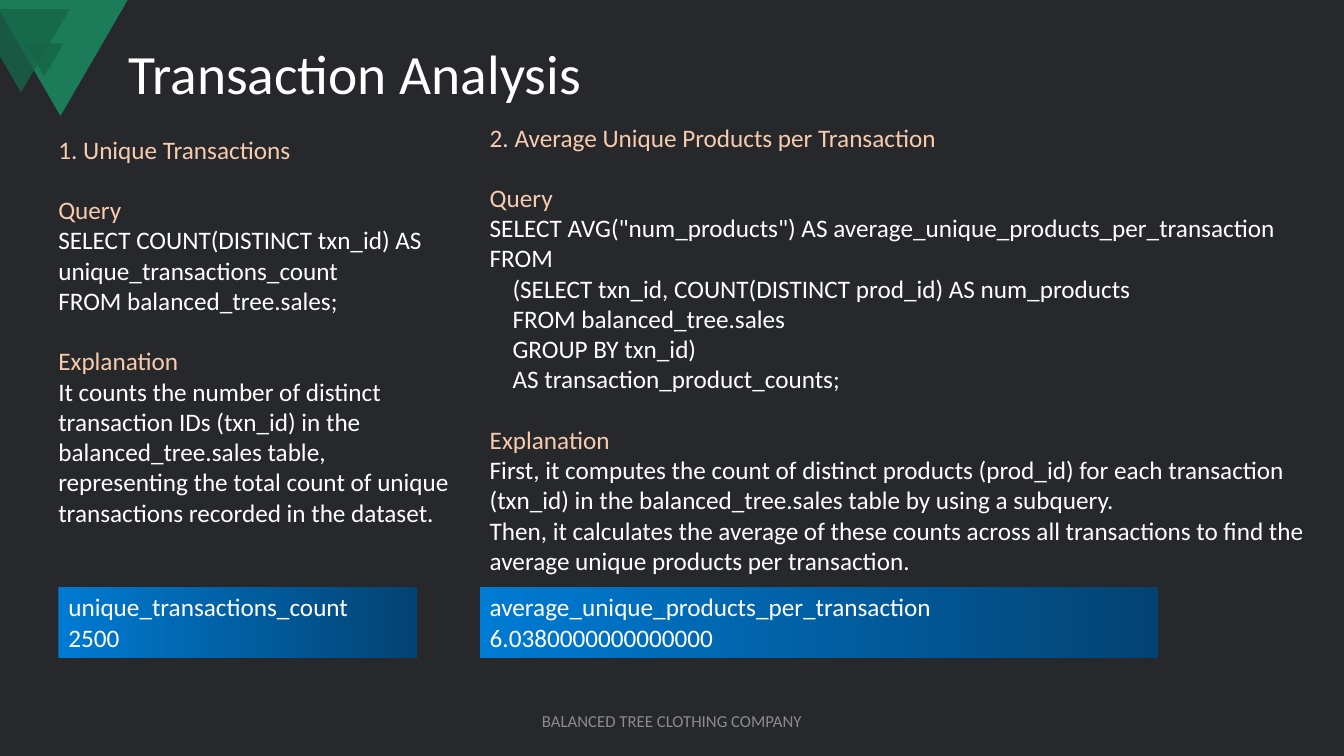
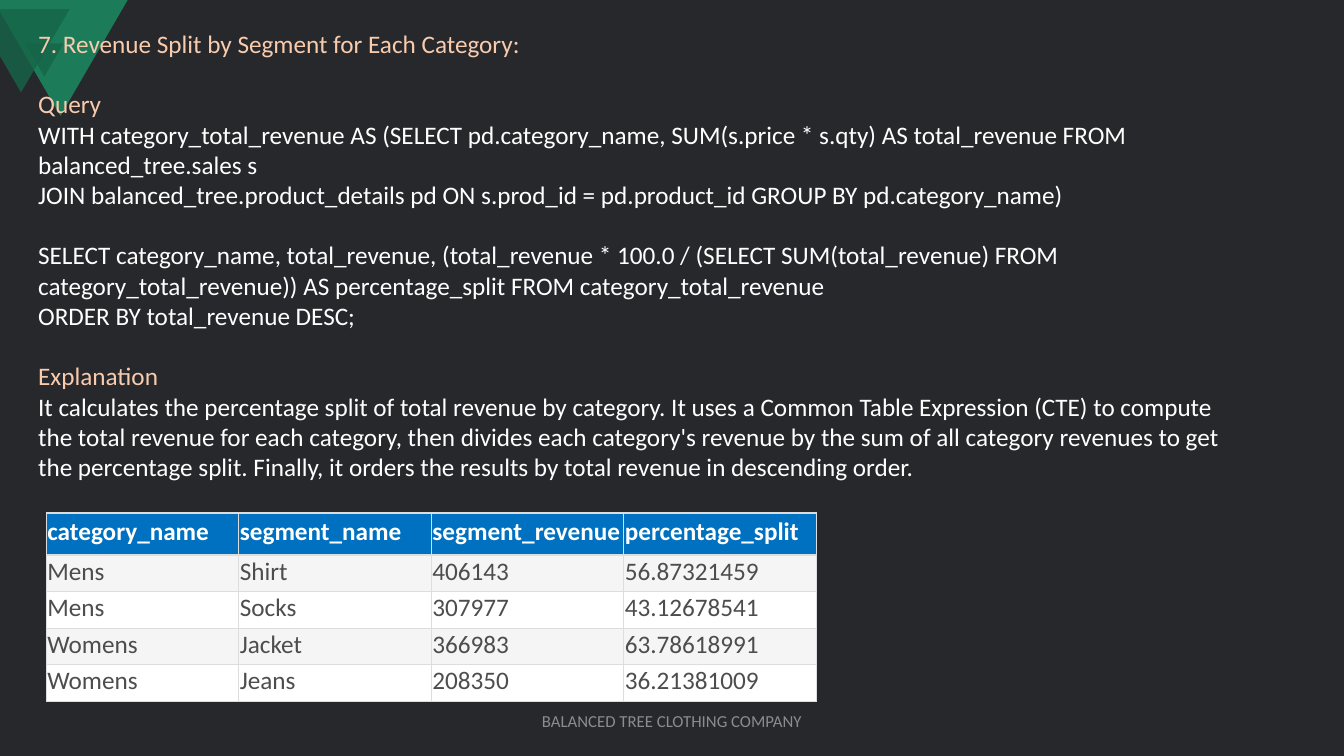
from dataclasses import dataclass

from lxml import etree
from pptx import Presentation, util as u
from pptx.dml.color import RGBColor
from pptx.enum import shapes, text
from pptx.oxml import ns

BACKDROP = RGBColor(0x27, 0x28, 0x2C)
GREEN = RGBColor(0x1C, 0x7C, 0x5A)
DARK_GREEN = RGBColor(0x16, 0x65, 0x48)
WHITE = RGBColor(0xFF, 0xFF, 0xFF)
PEACH = RGBColor(0xF8, 0xCB, 0xAD)
ORANGE = RGBColor(0xED, 0x7D, 0x31)
GREY = RGBColor(0x8C, 0x8C, 0x8C)
BRIGHT_BLUE = RGBColor(0x00, 0x7B, 0xD3)
DEEP_BLUE = RGBColor(0x03, 0x43, 0x73)
HEADER_BLUE = RGBColor(0x00, 0x70, 0xC0)
CELL_TEXT = RGBColor(0x4D, 0x4D, 0x4D)
BAND = RGBColor(0xF5, 0xF5, 0xF5)
BORDER = RGBColor(0xDD, 0xDD, 0xDD)

FONT = "Calibri"
BODY_SIZE = 18
BLANK_LINE = u.Pt(21.6)
COLUMNS, ROWS = 160, 90
CELL = u.Inches(7.5) / ROWS


@dataclass
class Line:
    text: str
    accent: bool = False
    gap: bool = False
    indent: float = 0


def heading(words):
    return Line(words, accent=True)


def section(words):
    return Line(words, accent=True, gap=True)


def grid(*lengths):
    return [round(length * CELL) for length in lengths]


def add_line(parent, tag, color, width):
    line = etree.SubElement(parent, ns.qn(tag), w=str(u.Pt(width)))
    fill = etree.SubElement(line, ns.qn("a:solidFill"))
    etree.SubElement(fill, ns.qn("a:srgbClr"), val=str(color))
    return line


class Deck:
    def __init__(self):
        self.deck = Presentation()
        self.deck.slide_width, self.deck.slide_height = grid(COLUMNS, ROWS)
        fill = self.deck.slide_master.background.fill
        fill.solid()
        fill.fore_color.rgb = BACKDROP
        self.page = None

    def add_page(self):
        self.page = self.deck.slides.add_slide(self.deck.slide_layouts[6])
        self.polygon([(0, 0), (15.2, 0), (7.2, 13.8), (0, 1.4)], GREEN)
        triangle = self.page.shapes.add_shape(
            shapes.MSO_SHAPE.ISOSCELES_TRIANGLE, *grid(3, 5.16, 4.56, 3.96))
        triangle.rotation = 180
        self.paint(triangle, DARK_GREEN, 80)
        self.polygon([(0, 1.1), (8.28, 1.1), (2.5, 11), (0, 6.7)], DARK_GREEN, 80)
        footer = self.text_frame(53, 83.4, 54, 4.8, text.MSO_ANCHOR.MIDDLE)
        para = footer.paragraphs[0]
        para.alignment = text.PP_ALIGN.CENTER
        self.span(para, "BALANCED TREE CLOTHING COMPANY", 12, GREY)

    def paint(self, shape, color, opacity=100):
        shape.shadow.inherit = False
        shape.line.fill.background()
        shape.fill.solid()
        shape.fill.fore_color.rgb = color
        if opacity < 100:
            tint = shape.element.spPr.find(".//" + ns.qn("a:srgbClr"))
            etree.SubElement(tint, ns.qn("a:alpha"), val=str(opacity * 1000))

    def polygon(self, points, color, opacity=100):
        start, *others = [grid(*point) for point in points]
        builder = self.page.shapes.build_freeform(*start)
        builder.add_line_segments(others, close=True)
        self.paint(builder.convert_to_shape(), color, opacity)

    def span(self, para, words, size=BODY_SIZE, color=WHITE, bold=False):
        span = para.add_run()
        span.text = words
        span.font.name = FONT
        span.font.size = u.Pt(size)
        span.font.bold = bold
        span.font.color.rgb = color
        return span

    def text_frame(self, left, top, width, height, anchor=text.MSO_ANCHOR.TOP):
        box = self.page.shapes.add_textbox(*grid(left, top, width, height))
        frame = box.text_frame
        frame.word_wrap = True
        frame.vertical_anchor = anchor
        return frame

    def paragraphs(self, frame, lines):
        for index, line in enumerate(lines):
            para = frame.add_paragraph() if index else frame.paragraphs[0]
            para.alignment = text.PP_ALIGN.LEFT
            if line.gap:
                para.space_before = BLANK_LINE
            if line.indent:
                para._p.get_or_add_pPr().set("marL", str(grid(line.indent)[0]))
            span = self.span(para, line.text, color=PEACH if line.accent else WHITE)
            if line.accent:
                properties = span.font._element
                properties.insert(0, add_line(properties, "a:ln", ORANGE, 1.75))

    def title(self, words):
        frame = self.text_frame(14.16, 4.2, 69.84, 9.72, text.MSO_ANCHOR.MIDDLE)
        para = frame.paragraphs[0]
        para.line_spacing = 0.9
        self.span(para, words, 39.6)

    def prose(self, left, top, width, height, lines):
        self.paragraphs(self.text_frame(left, top, width, height), lines)

    def result(self, left, width, name, value):
        bar = self.page.shapes.add_shape(
            shapes.MSO_SHAPE.RECTANGLE, *grid(left, 69.84, width, 8.52))
        bar.shadow.inherit = False
        bar.line.fill.background()
        bar.fill.gradient()
        bar.fill.gradient_angle = 0
        stops = zip(bar.fill.gradient_stops, (BRIGHT_BLUE, DEEP_BLUE), (0, 1))
        for stop, color, position in stops:
            stop.color.rgb = color
            stop.position = position
        bar.text_frame.word_wrap = True
        bar.text_frame.vertical_anchor = text.MSO_ANCHOR.TOP
        self.paragraphs(bar.text_frame, [Line(name), Line(value)])

    def table(self, left, top, width, header_height, row_height, records):
        heights = [header_height] + [row_height] * (len(records) - 1)
        table = self.page.shapes.add_table(
            len(records), len(records[0]),
            *grid(left, top, width, sum(heights))).table
        table.horz_banding = False
        for row, height in zip(table.rows, heights):
            row.height = grid(height)[0]
        for row_index, record in enumerate(records):
            for column_index, words in enumerate(record):
                self.table_cell(table.cell(row_index, column_index), words, row_index)

    def table_cell(self, cell, words, row_index):
        header = row_index == 0
        cell.margin_left = cell.margin_right = cell.margin_top = u.Inches(0.01)
        cell.margin_bottom = u.Inches(0.05)
        cell.vertical_anchor = text.MSO_ANCHOR.MIDDLE
        for side in "LRTB":
            add_line(cell._tc.get_or_add_tcPr(), "a:ln" + side, BORDER, 1)
        cell.fill.solid()
        banded = BAND if row_index % 2 else WHITE
        cell.fill.fore_color.rgb = HEADER_BLUE if header else banded
        self.span(cell.text_frame.paragraphs[0], words,
                  color=WHITE if header else CELL_TEXT, bold=header)


def transaction_page(deck):
    deck.add_page()
    deck.title("Transaction Analysis")
    deck.prose(5.76, 15.36, 49.44, 48.48, [
        heading("1. Unique Transactions"),
        section("Query"),
        Line("SELECT COUNT(DISTINCT txn_id) AS unique_transactions_count"),
        Line("FROM balanced_tree.sales;"),
        section("Explanation"),
        Line("It counts the number of distinct transaction IDs (txn_id) in the "
             "balanced_tree.sales table, representing the total count of unique "
             "transactions recorded in the dataset."),
    ])
    deck.result(6.96, 42.72, "unique_transactions_count", "2500")
    subquery = [
        "(SELECT txn_id, COUNT(DISTINCT prod_id) AS num_products",
        "FROM balanced_tree.sales",
        "GROUP BY txn_id)",
        "AS transaction_product_counts;",
    ]
    deck.prose(57.12, 13.92, 100.56, 55.68, [
        heading("2. Average Unique Products per Transaction"),
        section("Query"),
        Line('SELECT AVG("num_products") AS average_unique_products_per_transaction'),
        Line("FROM"),
        *[Line(words, indent=2.72) for words in subquery],
        section("Explanation"),
        Line("First, it computes the count of distinct products (prod_id) for each "
             "transaction (txn_id) in the balanced_tree.sales table by using a subquery."),
        Line("Then, it calculates the average of these counts across all transactions "
             "to find the average unique products per transaction."),
    ])
    deck.result(57.12, 80.76, "average_unique_products_per_transaction",
                "6.0380000000000000")


def revenue_page(deck):
    deck.add_page()
    deck.prose(3.36, 2.76, 146.52, 55.68, [
        heading("7. Revenue Split by Segment for Each Category:"),
        section("Query"),
        Line("WITH category_total_revenue AS (SELECT pd.category_name, "
             "SUM(s.price * s.qty) AS total_revenue FROM balanced_tree.sales s"),
        Line("JOIN balanced_tree.product_details pd ON s.prod_id = pd.product_id "
             "GROUP BY pd.category_name)"),
        Line("SELECT category_name, total_revenue, (total_revenue * 100.0 / "
             "(SELECT SUM(total_revenue) FROM category_total_revenue)) AS "
             "percentage_split FROM category_total_revenue", gap=True),
        Line("ORDER BY total_revenue DESC;"),
        section("Explanation"),
        Line("It calculates the percentage split of total revenue by category. It uses "
             "a Common Table Expression (CTE) to compute the total revenue for each "
             "category, then divides each category's revenue by the sum of all category "
             "revenues to get the percentage split. Finally, it orders the results by "
             "total revenue in descending order."),
    ])
    deck.table(5.52, 61.08, 91.68, 5, 4.36, [
        ("category_name", "segment_name", "segment_revenue", "percentage_split"),
        ("Mens", "Shirt", "406143", "56.87321459"),
        ("Mens", "Socks", "307977", "43.12678541"),
        ("Womens", "Jacket", "366983", "63.78618991"),
        ("Womens", "Jeans", "208350", "36.21381009"),
    ])


def main():
    deck = Deck()
    transaction_page(deck)
    revenue_page(deck)
    deck.deck.save("out.pptx")


if __name__ == "__main__":
    main()
